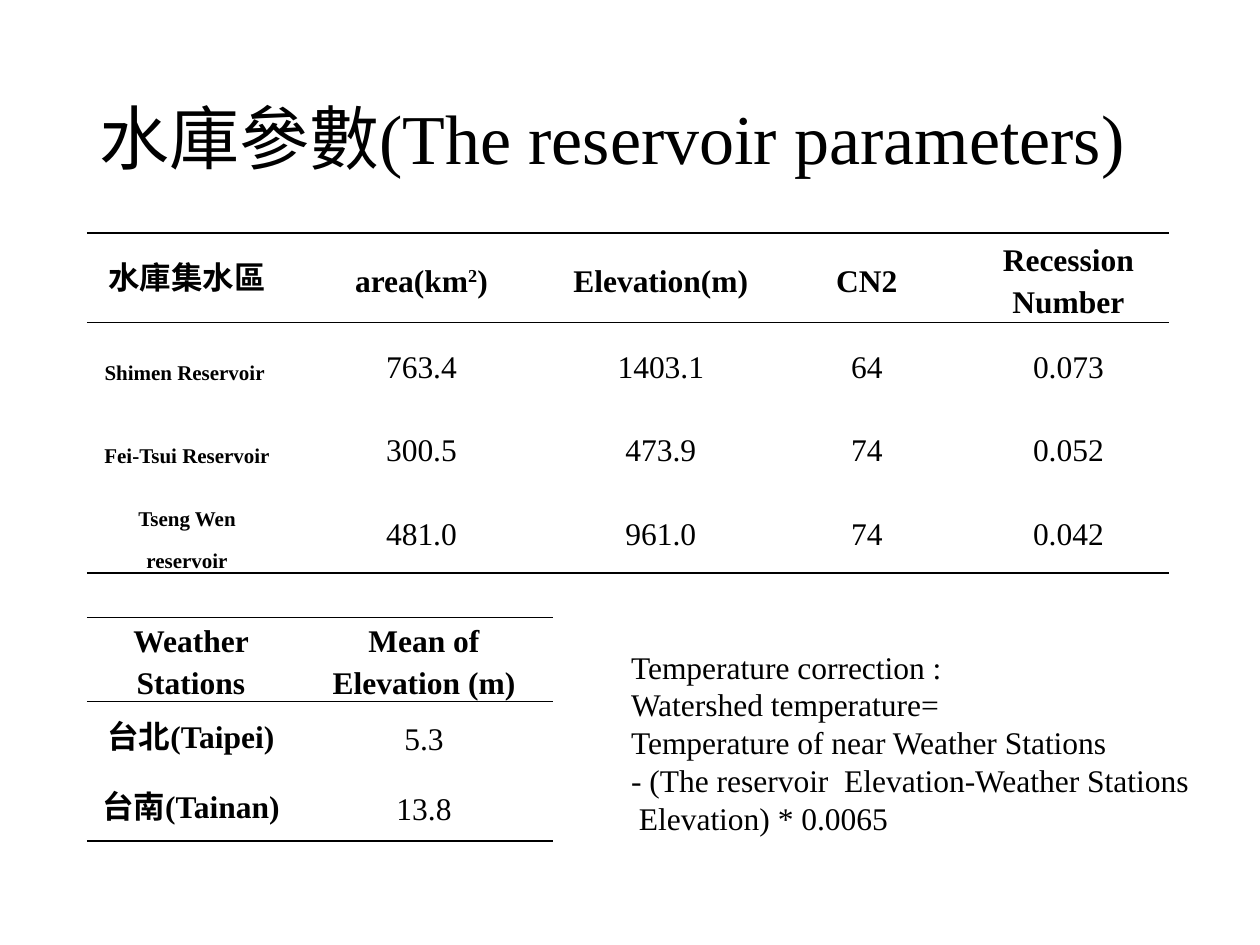
from lxml import etree
from pptx import Presentation
from pptx.dml.color import RGBColor
from pptx.enum.text import MSO_ANCHOR, MSO_AUTO_SIZE, PP_ALIGN
from pptx.oxml.ns import qn
from pptx.util import Inches, Pt

MID, LEFT, CENTER = MSO_ANCHOR.MIDDLE, PP_ALIGN.LEFT, PP_ALIGN.CENTER
GROW = MSO_AUTO_SIZE.SHAPE_TO_FIT_TEXT
COLORS = {"ink": "000000", "page": "FFFFFF"}
FONT = "Times New Roman"
NO_STYLE = "{2D5ABB26-0587-4C30-8999-92F81FD0307C}"

prs = Presentation()
prs.slide_width, prs.slide_height = Inches(10), Inches(7.5)
X, Y = prs.slide_width / 100, prs.slide_height / 100  # one percent of the slide
slide = prs.slides.add_slide(prs.slide_layouts[5])
slide.background.fill.solid()
slide.background.fill.fore_color.rgb = RGBColor.from_string(COLORS["page"])


def write(para, text, size=18, bold=False):
    """Add text to a paragraph, with any ² set as a raised 2."""
    for part in text.replace("²", "|²|").split("|"):
        run = para.add_run()
        run.text = part.replace("²", "2")
        for name, value in {"name": FONT, "size": Pt(size), "bold": bold}.items():
            setattr(run.font, name, value)
        run.font.color.rgb = RGBColor.from_string(COLORS["ink"])
        if part == "²":
            run.font._element.set("baseline", "30000")


def rule(cell, side, width):
    """Draw one border of a cell; side is T or B."""
    props = cell._tc.get_or_add_tcPr()
    line = etree.SubElement(props, qn(f"a:ln{side}"), w=str(Pt(width)))
    fill = etree.SubElement(line, qn("a:solidFill"))
    etree.SubElement(fill, qn("a:srgbClr"), val=COLORS["ink"])


title = slide.shapes.title
spot = {"left": 6.9 * X, "top": 5.33 * Y, "width": 86.2 * X, "height": 19.33 * Y}
for name, value in spot.items():
    setattr(title, name, int(value))
title.text_frame.vertical_anchor = MID
para = title.text_frame.paragraphs[0]
para.alignment, para.line_spacing = LEFT, 0.9
write(para, "水庫參數(The reservoir parameters)", 40)

# Each table: top, column widths, row heights, size of row names, rows
tables = [
    (24.67, [15.9, 21.3, 16.7, 16, 16], [9.47] + [8.8] * 3, 12, [
        ["水庫集水區", "area(km²)", "Elevation(m)", "CN2", "Recession Number"],
        ["Shimen Reservoir ", "763.4", "1403.1", "64", "0.073"],
        ["Fei-Tsui Reservoir", "300.5", "473.9", "74", "0.052"],
        ["Tseng Wen reservoir", "481.0", "961.0", "74", "0.042"],
    ]),
    (65.33, [16.5, 20.5], [8.89] + [7.4] * 2, 18, [
        ["Weather Stations", "Mean of Elevation (m)"],
        ["台北(Taipei)", "5.3"],
        ["台南(Tainan)", "13.8"],
    ]),
]
for top, cols, rows, small, data in tables:
    frame = slide.shapes.add_table(
        len(rows), len(cols), int(6.9 * X), int(top * Y),
        int(sum(cols) * X), int(sum(rows) * Y))
    table = frame.table
    table.first_row = table.horz_banding = False
    table._tbl.tblPr.find(qn("a:tableStyleId")).text = NO_STYLE
    for col, width in zip(table.columns, cols):
        col.width = int(width * X)
    for row, height in zip(table.rows, rows):
        row.height = int(height * Y)
    for r, texts in enumerate(data):
        for c, text in enumerate(texts):
            cell = table.cell(r, c)
            look = {"margin_left": Inches(0.07), "margin_right": Inches(0.07),
                    "margin_top": 0, "margin_bottom": 0, "vertical_anchor": MID}
            for name, value in look.items():
                setattr(cell, name, value)
            if r == 0:
                rule(cell, "T", 1)
            if r in (0, len(rows) - 1):
                rule(cell, "B", 1)
            cell.fill.background()
            para = cell.text_frame.paragraphs[0]
            para.alignment, para.line_spacing = CENTER, Pt(24)
            size = small if r and not c else 18
            write(para, text, size, r == 0 or c == 0)

notes = [
    "Temperature correction :",
    "Watershed temperature=",
    "Temperature of near Weather Stations",
    "- (The reservoir  Elevation-Weather Stations",
    " Elevation) * 0.0065",
]
box = slide.shapes.add_textbox(
    int(49.1 * X), int(67.87 * Y), int(46.8 * X), int(21.6 * Y))
body = box.text_frame
body.word_wrap, body.auto_size = False, GROW
for i, text in enumerate(notes):
    write(body.add_paragraph() if i else body.paragraphs[0], text)

prs.save("out.pptx")
